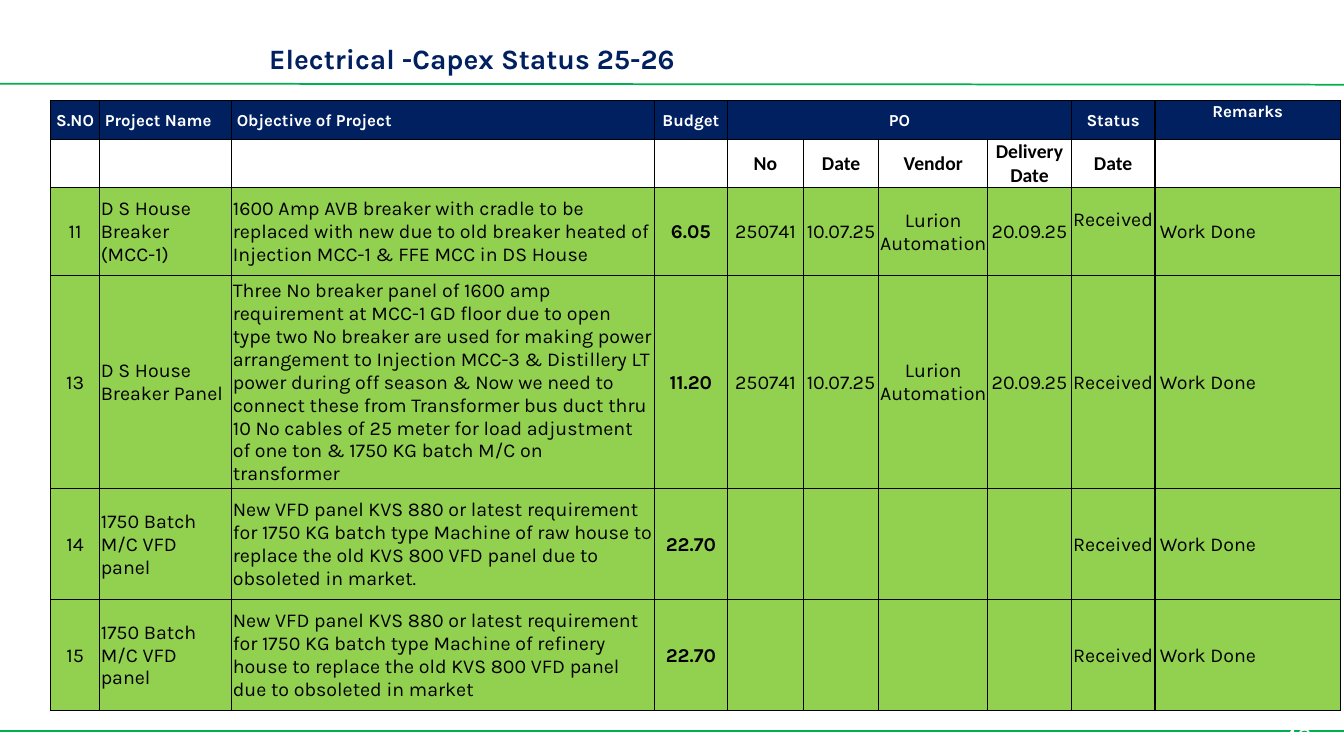
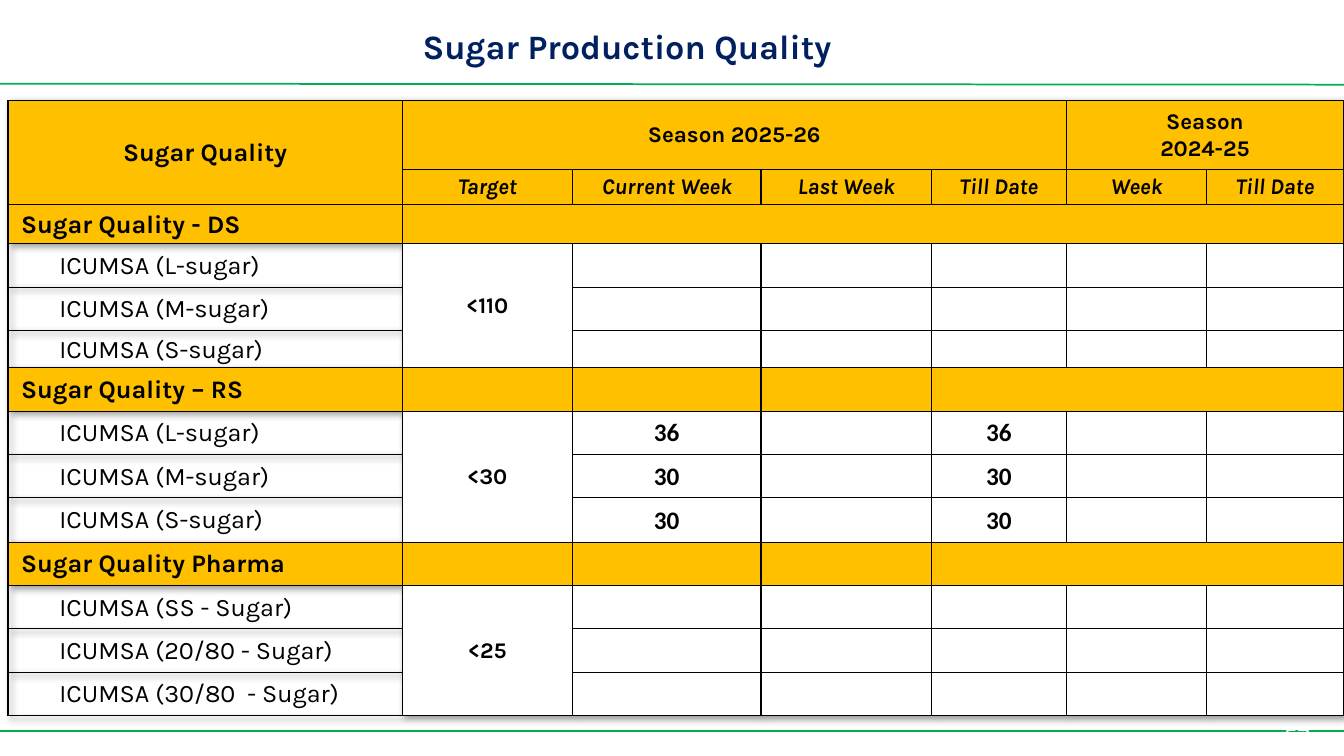
from lxml.etree import SubElement
from pptx import Presentation
from pptx.dml.color import RGBColor
from pptx.enum.shapes import MSO_CONNECTOR as Connector
from pptx.enum.text import MSO_ANCHOR as Anchor, MSO_AUTO_SIZE as AutoSize, PP_ALIGN as Align
from pptx.oxml import parse_xml
from pptx.oxml.ns import nsdecls, qn
from pptx.util import Inches, Pt

NAVY, GREEN, LIME, AMBER = "002060", "00B050", "92D050", "FFC000"
WHITE, BLACK = "FFFFFF", "000000"
COLUMNS, ROWS = 160, 90
THIN = 0.12


def rgb(value):
    return RGBColor.from_string(value)


def put(target, values):
    for name, value in values.items():
        setattr(target, name, value)


class Deck:
    face = "Karla"

    def __init__(self):
        self.show = Presentation()
        put(self.show, {"slide_width": Inches(13.33), "slide_height": Inches(7.5)})
        self.slide = None

    def x(self, columns):
        return round(self.show.slide_width * columns / COLUMNS)

    def y(self, rows):
        return round(self.show.slide_height * rows / ROWS)

    def box(self, left, top, width, height):
        return self.x(left), self.y(top), self.x(width), self.y(height)

    def letter(self, frame, text, align=Align.LEFT, size=14, color=BLACK,
               bold=False, italic=False, face=None):
        frame.text = text
        for paragraph in frame.paragraphs:
            paragraph.alignment = align
            put(paragraph.font, {"name": face or self.face, "size": Pt(size),
                                 "bold": bold, "italic": italic})
            paragraph.font.color.rgb = rgb(color)

    def page(self, title, place, number, **style):
        self.slide = self.show.slides.add_slide(self.show.slide_layouts[5])
        self.rule(9.96, 10.08)
        self.rule(87, 87)
        self.number(number)
        heading = self.slide.shapes.title
        put(heading, dict(zip(("left", "top", "width", "height"), self.box(*place))))
        frame = heading.text_frame
        put(frame, {"auto_size": AutoSize.NONE, "word_wrap": True,
                    "vertical_anchor": Anchor.MIDDLE})
        self.letter(frame, title, color=NAVY, bold=True, **style)

    def rule(self, start, end):
        line = self.slide.shapes.add_connector(
            Connector.STRAIGHT, 0, self.y(start), self.x(COLUMNS), self.y(end))
        line.line.color.rgb = rgb(GREEN)
        line.line.width = Pt(1.25)
        SubElement(line._element.spPr, qn("a:effectLst"))

    def number(self, text):
        frame = self.slide.shapes.add_textbox(*self.box(151.6, 85.2, 8, 4.8)).text_frame
        frame.word_wrap = True
        self.letter(frame, text, size=18, color=WHITE)

    def table(self, place, widths, heights, merges, shadow=False):
        area = self.box(*place)
        grid = self.slide.shapes.add_table(len(heights), len(widths), *area).table
        put(grid, {"first_row": False, "horz_banding": False})
        for column, share in zip(grid.columns, widths):
            column.width = round(area[2] * share / sum(widths))
        for row, share in zip(grid.rows, heights):
            row.height = round(area[3] * share / sum(heights))
        for top, left, bottom, right in merges:
            grid.cell(top, left).merge(grid.cell(bottom, right))
        if shadow:
            grid._tbl.tblPr.insert(0, parse_xml(
                f'<a:effectLst {nsdecls("a")}><a:outerShdw blurRad="50800" dist="38100" '
                'dir="2700000" algn="tl"><a:srgbClr val="000000"><a:alpha val="40000"/>'
                '</a:srgbClr></a:outerShdw></a:effectLst>'))
        return grid

    def cell(self, cell, text="", fill=None, align=Align.CENTER,
             anchor=Anchor.MIDDLE, indent=0, lift=0, **style):
        put(cell, {"margin_left": self.x(THIN + indent), "margin_right": self.x(THIN),
                   "margin_top": self.y(THIN), "margin_bottom": self.y(lift),
                   "vertical_anchor": anchor})
        if fill:
            cell.fill.solid()
            cell.fill.fore_color.rgb = rgb(fill)
        else:
            cell.fill.background()
        for place, side in enumerate(("lnL", "lnR", "lnT", "lnB")):
            cell._tc.tcPr.insert(place, parse_xml(
                f'<a:{side} {nsdecls("a")} w="{Pt(1)}"><a:solidFill>'
                f'<a:srgbClr val="{BLACK}"/></a:solidFill></a:{side}>'))
        self.letter(cell.text_frame, text, align, **style)


def capex(deck):
    deck.page("Electrical -Capex Status 25-26", (30.84, 3.96, 101.76, 6), "43", size=20)
    grid = deck.table((6, 12, 153.6, 70.56),
                      [49, 131, 419, 73, 75, 75, 108, 83, 83, 184],
                      [38, 44, 88, 198, 110, 110], [(0, 4, 0, 7)])
    headings = ["S.NO", "Project Name", "Objective of Project", "Budget", "PO",
                "", "", "", "Status", "Remarks"]
    order_parts = ["", "", "", "", "No", "Date", "Vendor", "Delivery Date", "Date", ""]
    order = ["250741", "10.07.25", "Lurion Automation", "20.09.25"]
    pending = [""] * len(order)
    outcome = ["Received", "Work Done"]
    batch_panel = "1750 Batch M/C VFD panel"
    projects = [
        ["11", "D S House Breaker (MCC-1)",
         "1600 Amp AVB breaker with cradle to be replaced with new due to old breaker "
         "heated of Injection MCC-1 & FFE MCC in DS House", "6.05", *order, *outcome],
        ["13", "D S House Breaker Panel",
         "Three No breaker panel of 1600 amp requirement at MCC-1 GD floor due to open "
         "type two No breaker are used for making power arrangement to Injection MCC-3 "
         "& Distillery LT power during off season & Now we need to connect these from "
         "Transformer bus duct thru 10 No cables of 25 meter for load adjustment of one "
         "ton & 1750 KG batch M/C on transformer", "11.20", *order, *outcome],
        ["14", batch_panel,
         "New VFD panel KVS 880 or latest requirement for 1750 KG batch type Machine of "
         "raw house to replace the old KVS 800 VFD panel due to obsoleted in market.",
         "22.70", *pending, *outcome],
        ["15", batch_panel,
         "New VFD panel KVS 880 or latest requirement for 1750 KG batch type Machine of "
         "refinery house to replace the old KVS 800 VFD panel due to obsoleted in market",
         "22.70", *pending, *outcome]]
    name, objective, budget, status, remarks = 1, 2, 3, 8, 9

    for col, (heading, part) in enumerate(zip(headings, order_parts)):
        named = col in (name, objective)
        deck.cell(grid.cell(0, col), heading, NAVY,
                  align=Align.LEFT if named else Align.CENTER,
                  indent=0.48 if named else 0,
                  anchor=Anchor.TOP if col == remarks else Anchor.MIDDLE,
                  size=12, color=WHITE, bold=True)
        deck.cell(grid.cell(1, col), part, bold=True, face="Calibri")
    for row, project in enumerate(projects, 2):
        for col, text in enumerate(project):
            deck.cell(grid.cell(row, col), text, LIME,
                      align=Align.LEFT if col in (name, objective, remarks) else Align.CENTER,
                      indent=0.48 if col == remarks else 0,
                      lift=2.76 if (row, col) == (2, status) else 0,
                      bold=col == budget)


def quality(deck):
    deck.page("Sugar Production Quality", (23.16, 2.16, 102.96, 6.48), "57",
              size=24.4, align=Align.CENTER)
    grades = ["L-sugar", "M-sugar", "S-sugar"]
    groups = [("Sugar Quality - DS", "<110", grades, ["", "", ""]),
              ("Sugar Quality – RS", "<30", grades, ["36", "30", "30"]),
              ("Sugar Quality Pharma", "<25",
               ["SS - Sugar", "20/80 - Sugar", "30/80  - Sugar"], ["", "", ""])]
    starts = [2, 6, 10]
    merges = [(0, 0, 1, 0), (0, 1, 0, 4), (0, 5, 0, 6), (2, 1, 2, 6)]
    merges += [(start, 4, start, 6) for start in starts[1:]]
    merges += [(start + 1, 1, start + 3, 1) for start in starts]
    grid = deck.table((0.96, 12, 159, 73.2), [391, 169, 187, 169, 134, 139, 136],
                      [68, 35, 39, 43, 43, 37, 43, 43, 43, 44, 43, 43, 43, 43],
                      merges, shadow=True)
    seasons = ["Sugar Quality", "Season 2025-26", "", "", "", "Season\n2024-25", ""]
    periods = ["", "Target", "Current Week", "Last Week", "Till Date", "Week", "Till Date"]

    for col, (season, period) in enumerate(zip(seasons, periods)):
        deck.cell(grid.cell(0, col), season, AMBER, size=16 if col else 18, bold=True)
        deck.cell(grid.cell(1, col), period, AMBER, size=16, bold=True, italic=True)
    for start, (group, target, sugars, readings) in zip(starts, groups):
        deck.cell(grid.cell(start, 0), group, AMBER, align=Align.LEFT,
                  indent=1.44, size=18, bold=True)
        for col in range(1, len(periods)):
            deck.cell(grid.cell(start, col), fill=AMBER)
        for row, (sugar, reading) in enumerate(zip(sugars, readings), start + 1):
            deck.cell(grid.cell(row, 0), f"ICUMSA ({sugar})", align=Align.LEFT,
                      indent=6, size=18)
            deck.cell(grid.cell(row, 1), target if row == start + 1 else "", WHITE,
                      size=16, bold=True)
            for col in range(2, len(periods)):
                deck.cell(grid.cell(row, col), reading if col in (2, 4) else "", WHITE,
                          size=18, bold=True, face="Calibri")


def main():
    deck = Deck()
    capex(deck)
    quality(deck)
    deck.show.save("out.pptx")


if __name__ == "__main__":
    main()
